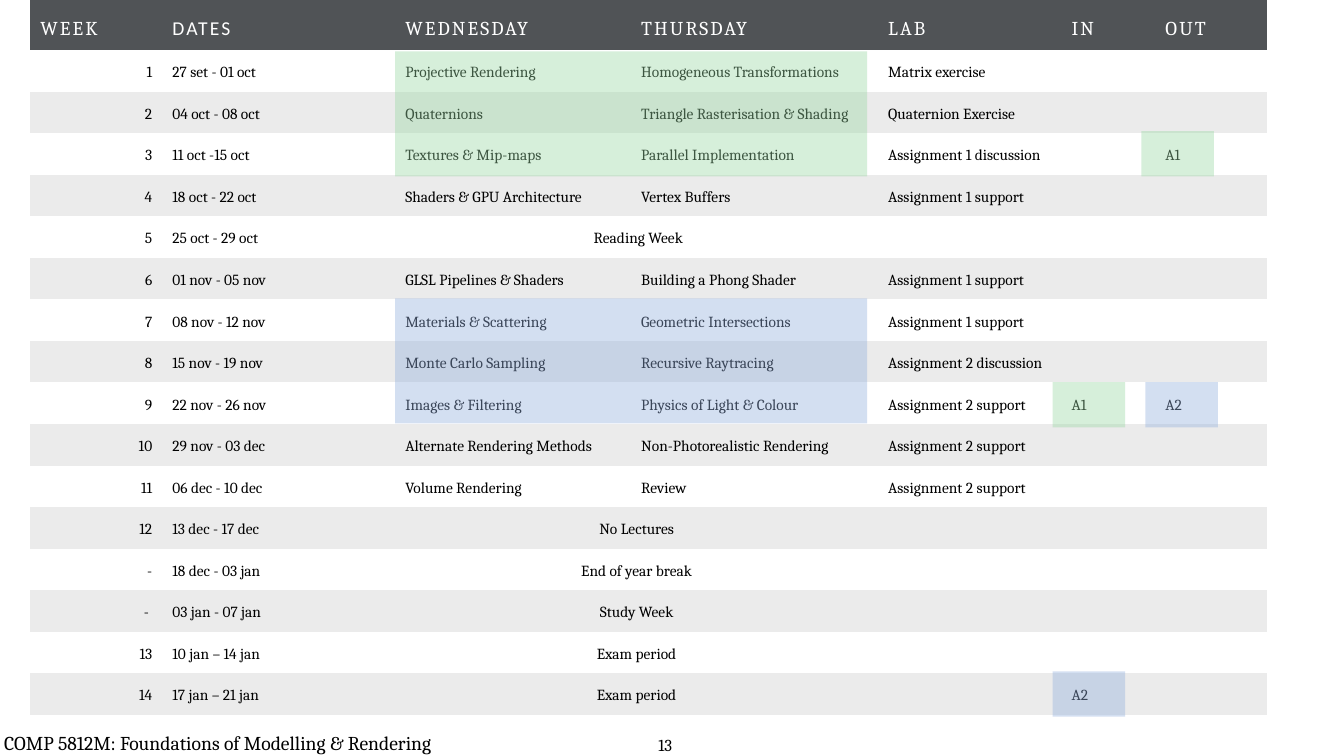
import pptx
import pptx.dml.color
import pptx.enum.shapes
import pptx.enum.text
import pptx.oxml.ns
import pptx.util
from lxml import etree

Inches = pptx.util.Inches
Pt = pptx.util.Pt
ANCHOR = pptx.enum.text.MSO_ANCHOR
ALIGN = pptx.enum.text.PP_ALIGN

GREEN, BLUE = "99D7A3", "92AFDE"
HEADINGS = ["WEEK", "DATES", "WEDNESDAY", "THURSDAY", "LAB", "IN", "OUT"]
COLUMN_WIDTHS = [1.31, 2.31, 2.34, 2.45, 1.82, 0.93, 1.11]
HEADER_HEIGHT = 0.5
TABLE_HEIGHT = 7.09

# A row with only three entries spans both lecture days.
WEEKS = [
    ["1", "27 set - 01 oct", "Projective Rendering", "Homogeneous Transformations", "Matrix exercise"],
    ["2", "04 oct - 08 oct", "Quaternions", "Triangle Rasterisation & Shading", "Quaternion Exercise"],
    ["3", "11 oct -15 oct", "Textures & Mip-maps", "Parallel Implementation", "Assignment 1 discussion", "", "A1"],
    ["4", "18 oct - 22 oct", "Shaders & GPU Architecture", "Vertex Buffers", "Assignment 1 support"],
    ["5", "25 oct - 29 oct", " Reading Week"],
    ["6", "01 nov - 05 nov", "GLSL Pipelines & Shaders", "Building a Phong Shader", "Assignment 1 support"],
    ["7", "08 nov - 12 nov", "Materials & Scattering", "Geometric Intersections", "Assignment 1 support"],
    ["8", "15 nov - 19 nov", "Monte Carlo Sampling", "Recursive Raytracing", "Assignment 2 discussion"],
    ["9", "22 nov - 26 nov", "Images & Filtering", "Physics of Light & Colour", "Assignment 2 support", "A1", "A2"],
    ["10", "29 nov - 03 dec", "Alternate Rendering Methods", "Non-Photorealistic Rendering", "Assignment 2 support"],
    ["11", "06 dec - 10 dec", "Volume Rendering", "Review", "Assignment 2 support"],
    ["12", "13 dec - 17 dec", "No Lectures"],
    ["-", "18 dec - 03 jan", "End of year break"],
    ["- ", "03 jan - 07 jan", "Study Week"],
    ["13", "10 jan – 14 jan", "Exam period"],
    ["14", "17 jan – 21 jan", "Exam period", "", "", "A2"],
]


def rgb(value):
    return pptx.dml.color.RGBColor.from_string(value)


def write(text_frame, text, size, color="000000", font_name="Cambria"):
    """Fill a text frame with one formatted run and return its run."""
    text_frame.text = text
    run = text_frame.paragraphs[0].runs[0]
    run.font.size = Pt(size)
    run.font.name = font_name
    run.font.color.rgb = rgb(color)
    return run


presentation = pptx.Presentation()
presentation.slide_width = Inches(13.33)
presentation.slide_height = Inches(7.5)
slide = presentation.slides.add_slide(presentation.slide_layouts[6])

# Footer: course title and page number
footers = [
    ("COMP 5812M: Foundations of Modelling & Rendering", (-0.02, 7.13, 6.31, 0.39), 14, 21, 0.06, True, ANCHOR.TOP),
    ("13", (6.49, 7.19, 0.35, 0.33), 12, 19, 0.04, False, ANCHOR.MIDDLE),
]
for text, place, size, line_spacing, inset, wrap, anchor in footers:
    text_frame = slide.shapes.add_textbox(*map(Inches, place)).text_frame
    text_frame.word_wrap = wrap
    text_frame.vertical_anchor = anchor
    text_frame.margin_left = text_frame.margin_right = Inches(inset)
    text_frame.margin_top = text_frame.margin_bottom = Inches(inset)
    write(text_frame, text, size)
    text_frame.paragraphs[0].line_spacing = Pt(line_spacing)

# Timetable
frame = slide.shapes.add_table(
    len(WEEKS) + 1, len(HEADINGS), Inches(0.3), 0, Inches(sum(COLUMN_WIDTHS)), Inches(TABLE_HEIGHT))
table = frame.table
table.first_row = table.horz_banding = False
style_id = table._tbl.tblPr.find(pptx.oxml.ns.qn("a:tableStyleId"))
style_id.text = "{2D5ABB26-0587-4C30-8999-92F81FD0307C}"  # no style, no grid
for column, width in zip(table.columns, COLUMN_WIDTHS):
    column.width = Inches(width)

for row_index, entries in enumerate([HEADINGS] + WEEKS):
    is_header = row_index == 0
    week_height = (TABLE_HEIGHT - HEADER_HEIGHT) / len(WEEKS)
    table.rows[row_index].height = Inches(HEADER_HEIGHT if is_header else week_height)
    spans_days = len(entries) == 3 or entries[3] == ""
    if spans_days:
        table.cell(row_index, 2).merge(table.cell(row_index, 3))
    for column_index in range(len(HEADINGS)):
        cell = table.cell(row_index, column_index)
        text = entries[column_index] if column_index < len(entries) else ""
        inset = Inches(0.1 if text else 0)
        cell.margin_left = cell.margin_right = inset
        cell.margin_top = cell.margin_bottom = inset
        cell.vertical_anchor = ANCHOR.BOTTOM
        if row_index % 2 and not is_header:
            cell.fill.background()
        else:
            cell.fill.solid()
            cell.fill.fore_color.rgb = rgb("505356" if is_header else "EBEBEB")
        if not text:
            continue
        if is_header:
            font_name = "Calibri" if text == "DATES" else "Cambria"
            run = write(cell.text_frame, text, 14, "FFFFFF", font_name)
            run.font._element.set("spc", "150")
        else:
            write(cell.text_frame, text, 11)
            if column_index == 0:
                cell.text_frame.paragraphs[0].alignment = ALIGN.RIGHT
            elif column_index == 2 and spans_days:
                cell.text_frame.paragraphs[0].alignment = ALIGN.CENTER

# Translucent highlights tie lectures to the assignments they feed
LECTURES, MARKER = (4.68, 1.24), (0.72, 0.45)
highlights = [
    (3.92, 0.51, LECTURES, GREEN),
    (11.32, 1.3, MARKER, GREEN),
    (10.44, 3.79, MARKER, GREEN),
    (11.36, 3.79, MARKER, BLUE),
    (10.44, 6.66, MARKER, BLUE),
    (3.92, 2.96, LECTURES, BLUE),
]
for left, top, (width, height), color in highlights:
    shape = slide.shapes.add_shape(
        pptx.enum.shapes.MSO_SHAPE.RECTANGLE, Inches(left), Inches(top), Inches(width), Inches(height))
    shape.shadow.inherit = False
    shape.line.fill.background()
    shape.fill.solid()
    shape.fill.fore_color.rgb = rgb(color)
    color_element = shape._element.spPr.find(".//" + pptx.oxml.ns.qn("a:srgbClr"))
    etree.SubElement(color_element, pptx.oxml.ns.qn("a:alpha"), val="40000")

presentation.save("out.pptx")
